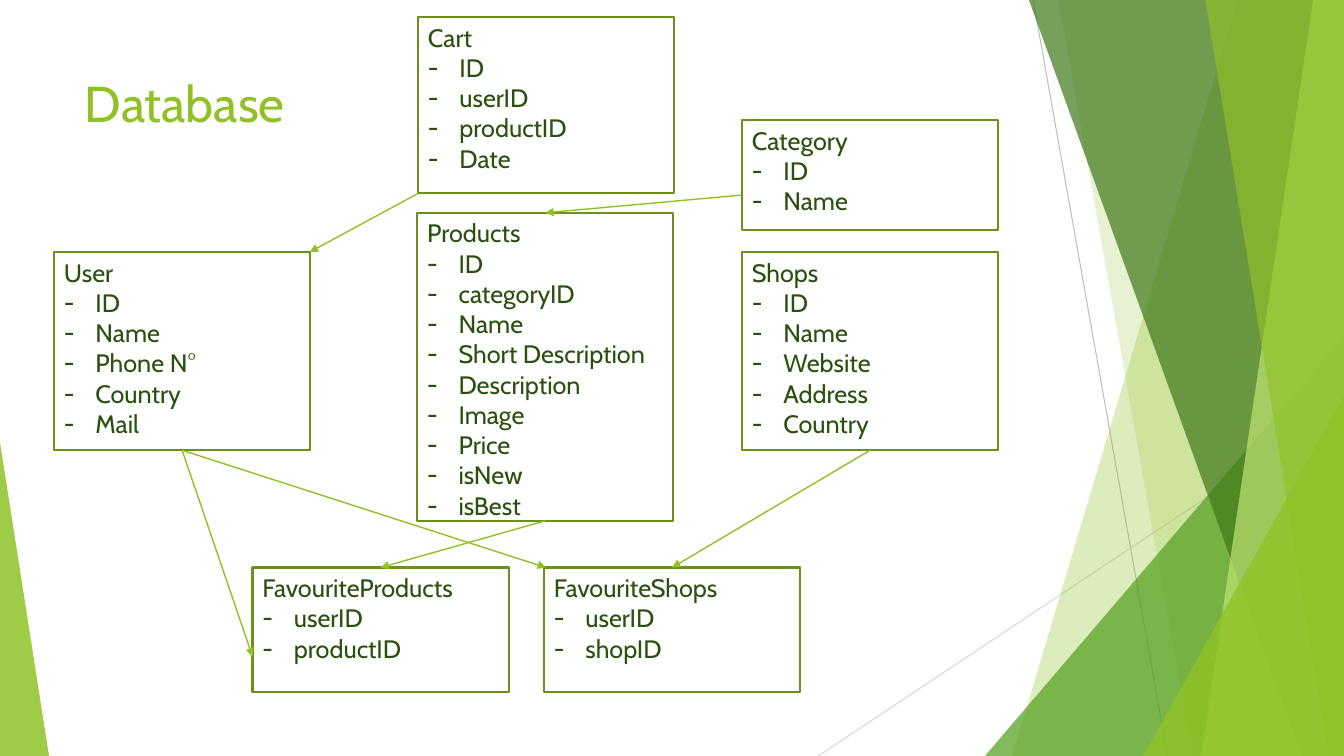
from lxml import etree
from pptx import Presentation
from pptx.dml.color import RGBColor
from pptx.enum import shapes, text
from pptx.oxml import ns
from pptx.util import Pt

WIDTH, HEIGHT = 960, 540
FONT = "Cabin"
GREEN, BORDER, INK = "90C226", "6B901C", "2A5010"
TOP, LEFT, BOTTOM = 0, 1, 2

# Facets: x of the left edge at the top and at the bottom, colour, opacity.
# Triangles: left, top, width, adjustment, colour, opacity.
BACK_FACETS = [(884, 723, GREEN, 30), (756, 852, GREEN, 20)]
BACK_TRIANGLE = (703.5, 240, 256.5, 1, "54A021", 72)
FRONT_FACETS = [(735, 930, "3F7819", 70), (938, 858, "C0E474", 70),
                (861, 949, GREEN, 65)]
FRONT_TRIANGLES = [(816.5, 283, 143.5, 1, GREEN, 80), (0, 316, 35, 0, GREEN, 85)]

TABLE_WIDTH = 183
TABLES = {  # name: (left, top, height, fields)
    "Shops": (530, 180, 141.6, ["ID", "Name", "Website", "Address", "Country"]),
    "Products": (298, 152, 220, ["ID", "categoryID", "Name", "Short Description",
                                 "Description", "Image", "Price", "isNew", "isBest"]),
    "User": (38.6, 180, 141.6, ["ID", "Name", "Phone N°", "Country", "Mail"]),
    "FavouriteProducts": (180.4, 405.4, 89, ["userID", "productID"]),
    "FavouriteShops": (388.6, 405.4, 89, ["userID", "shopID"]),
    "Category": (530, 85.7, 78.6, ["ID", "Name"]),
    "Cart": (298.6, 12.2, 126, ["ID", "userID", "productID", "Date"]),
}

# Each end is a (table, side) pair to join, or a free (x, y) point.
RELATIONS = [
    (("User", BOTTOM), (180.4, 469)),
    (("User", BOTTOM), (390, 405.4)),
    (("Products", BOTTOM), ("FavouriteProducts", TOP)),
    (("Shops", BOTTOM), ("FavouriteShops", TOP)),
    ((529.5, 139.4), ("Products", TOP)),
    ((298.6, 138.2), (221.3, 180)),
]


def color(value):
    return RGBColor.from_string(value)


def paint(shape, value, opacity):
    """Give a shape a translucent fill and no outline."""
    shape.shadow.inherit = False
    shape.line.fill.background()
    shape.fill.solid()
    shape.fill.fore_color.rgb = color(value)
    fill = shape._element.spPr.find(ns.qn("a:solidFill"))
    etree.SubElement(fill[0], ns.qn("a:alpha"), val=str(opacity * 1000))


def add_line(slide, start, end, value, width):
    points = [Pt(number) for number in (*start, *end)]
    line = slide.shapes.add_connector(shapes.MSO_CONNECTOR.STRAIGHT, *points)
    line.line.color.rgb = color(value)
    line.line.width = Pt(width)
    etree.SubElement(line._element.spPr, ns.qn("a:effectLst"))
    return line


def add_facet(slide, top_x, bottom_x, value, opacity):
    """Fill everything right of a slanted edge."""
    builder = slide.shapes.build_freeform(top_x, 0, scale=Pt(1))
    builder.add_line_segments([(WIDTH, 0), (WIDTH, HEIGHT), (bottom_x, HEIGHT)])
    paint(builder.convert_to_shape(), value, opacity)


def add_triangle(slide, left, top, width, adjustment, value, opacity):
    """Stand a triangle on the lower edge of the slide."""
    triangle = slide.shapes.add_shape(
        shapes.MSO_SHAPE.ISOSCELES_TRIANGLE,
        Pt(left), Pt(top), Pt(width), Pt(HEIGHT - top))
    triangle.adjustments[0] = adjustment
    paint(triangle, value, opacity)


def add_backdrop(slide):
    add_line(slide, (738, 0), (834, HEIGHT), "BFBFBF", 0.75)
    add_line(slide, (WIDTH, 290), (584.5, HEIGHT), "D9D9D9", 0.75)
    for facet in BACK_FACETS:
        add_facet(slide, *facet)
    add_triangle(slide, *BACK_TRIANGLE)
    for facet in FRONT_FACETS:
        add_facet(slide, *facet)
    for triangle in FRONT_TRIANGLES:
        add_triangle(slide, *triangle)


def add_run(paragraph, words, size, value):
    run = paragraph.add_run()
    run.text = words
    run.font.name = FONT
    run.font.size = Pt(size)
    run.font.color.rgb = color(value)


def add_title(slide, words, left, top, width, height):
    title = slide.shapes.add_textbox(Pt(left), Pt(top), Pt(width), Pt(height))
    title.text_frame.word_wrap = True
    add_run(title.text_frame.paragraphs[0], words, 36, GREEN)


def add_dash(paragraph):
    """Set a hanging dash in front of a paragraph."""
    properties = paragraph._p.get_or_add_pPr()
    properties.set("marL", str(Pt(22.5)))
    properties.set("indent", str(-Pt(22.5)))
    etree.SubElement(properties, ns.qn("a:buFont"), typeface=FONT)
    etree.SubElement(properties, ns.qn("a:buChar"), char="-")


def add_database_table(slide, name, left, top, height, fields):
    box = slide.shapes.add_shape(shapes.MSO_SHAPE.RECTANGLE, Pt(left), Pt(top),
                                 Pt(TABLE_WIDTH), Pt(height))
    box.shadow.inherit = False
    box.fill.background()
    box.line.color.rgb = color(BORDER)
    box.line.width = Pt(1.5)
    frame = box.text_frame
    frame.word_wrap = True
    frame.vertical_anchor = text.MSO_ANCHOR.TOP
    for index, words in enumerate([name, *fields]):
        paragraph = frame.add_paragraph() if index else frame.paragraphs[0]
        paragraph.alignment = text.PP_ALIGN.LEFT
        if index:
            add_dash(paragraph)
        add_run(paragraph, words, 18, INK)
    return box


def add_relation(slide, boxes, start, end):
    """Draw an arrow, joining each end that names a table."""
    joins = [point[0] in boxes for point in (start, end)]
    arrow = add_line(slide, (0, 0) if joins[0] else start,
                     (0, 0) if joins[1] else end, GREEN, 1)
    if joins[0]:
        arrow.begin_connect(boxes[start[0]], start[1])
    if joins[1]:
        arrow.end_connect(boxes[end[0]], end[1])
    outline = arrow.line._get_or_add_ln()
    etree.SubElement(outline, ns.qn("a:tailEnd"), type="triangle")


def add_database_slide(presentation):
    slide = presentation.slides.add_slide(presentation.slide_layouts[6])
    add_backdrop(slide)
    add_title(slide, "Database", 53.5, 48, 183, 104)
    boxes = {name: add_database_table(slide, name, *table)
             for name, table in TABLES.items()}
    for start, end in RELATIONS:
        add_relation(slide, boxes, start, end)


def main():
    presentation = Presentation()
    presentation.slide_width = Pt(WIDTH)
    presentation.slide_height = Pt(HEIGHT)
    add_database_slide(presentation)
    presentation.save("out.pptx")


if __name__ == "__main__":
    main()
